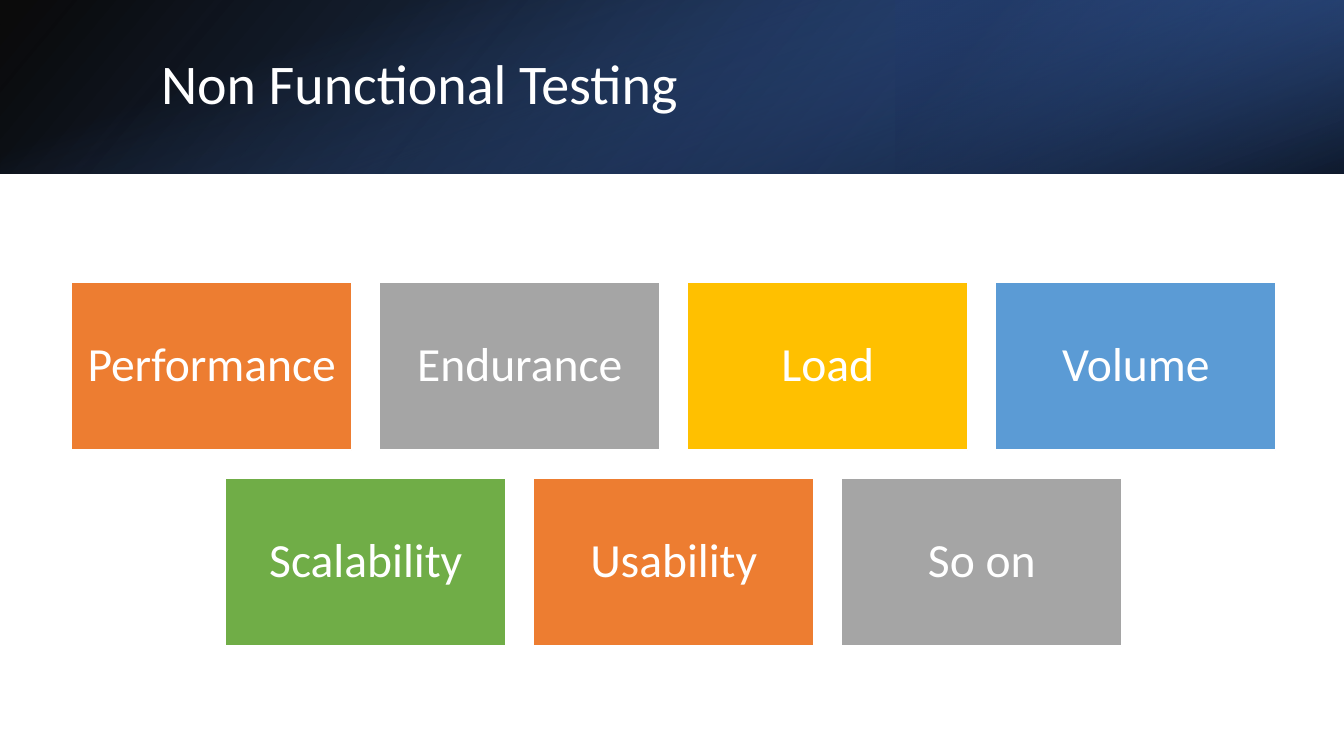
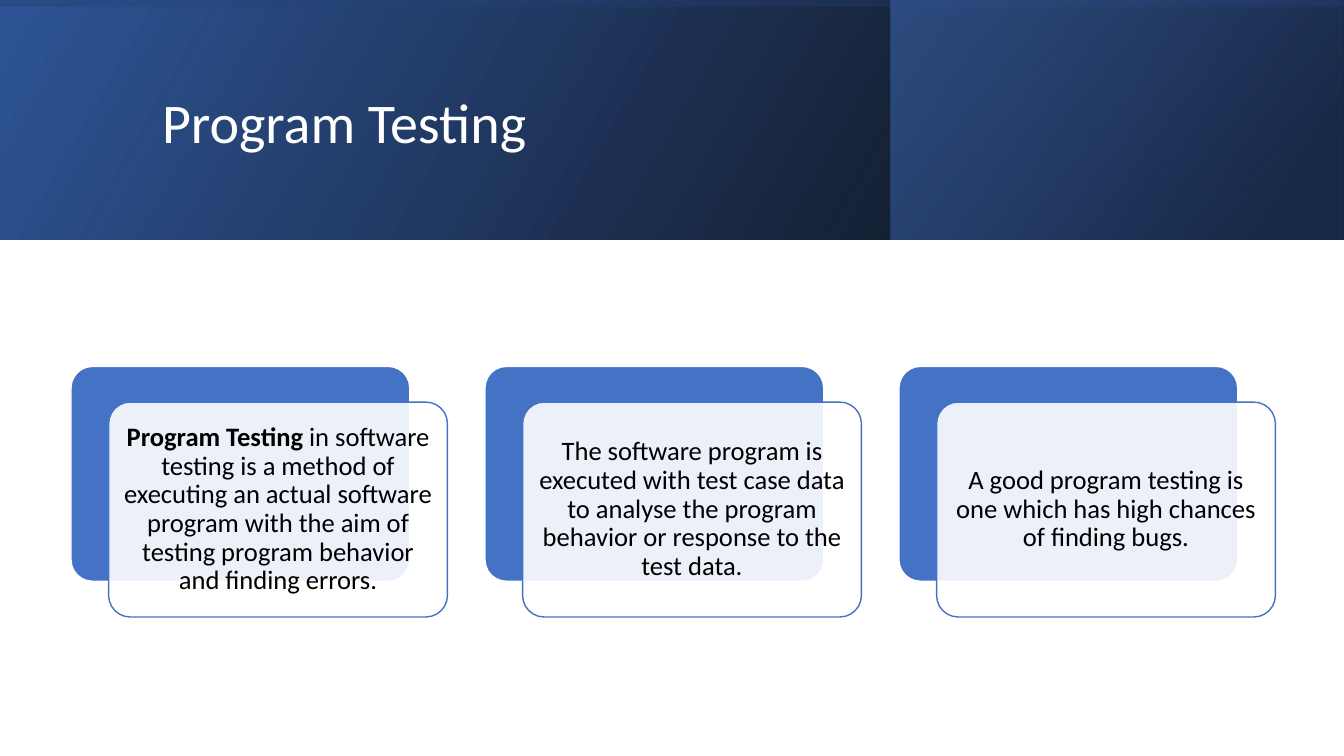
import pptx
import pptx.util
import pptx.dml.color
import pptx.enum.shapes
import pptx.enum.text
import pptx.oxml.ns
from lxml import etree

Pt = pptx.util.Pt
RGB = pptx.dml.color.RGBColor
qn = pptx.oxml.ns.qn
KIND = pptx.enum.shapes.MSO_SHAPE
MIDDLE = pptx.enum.text.MSO_ANCHOR.MIDDLE
CENTER = pptx.enum.text.PP_ALIGN.CENTER

BLACK = RGB(0x00, 0x00, 0x00)
WHITE = RGB(0xFF, 0xFF, 0xFF)
NAVY = RGB(0x20, 0x38, 0x64)
DEEP = RGB(0x2F, 0x55, 0x97)
BLUE = RGB(0x44, 0x72, 0xC4)
ORANGE = RGB(0xED, 0x7D, 0x31)
GRAY = RGB(0xA5, 0xA5, 0xA5)
GOLD = RGB(0xFF, 0xC0, 0x00)
SKY = RGB(0x5B, 0x9B, 0xD5)
GREEN = RGB(0x70, 0xAD, 0x47)
FONT = "Calibri"
WIDE, HIGH = 960, 540


def put(slide, kind, left, top, width, height, fill=None, line=None):
    """Add a shape without shadow; no fill colour leaves the fill open."""
    shape = slide.shapes.add_shape(kind, Pt(left), Pt(top), Pt(width), Pt(height))
    shape.shadow.inherit = False
    if fill is not None:
        shape.fill.solid()
        shape.fill.fore_color.rgb = fill
    if line is None:
        shape.line.fill.background()
    else:
        shape.line.color.rgb = line
        shape.line.width = Pt(1)
    return shape


def write(shape, runs, size, color, inset, align=None):
    """Fill a shape with one paragraph of (text, bold) runs."""
    frame = shape.text_frame
    frame.word_wrap = True
    frame.vertical_anchor = MIDDLE
    frame.margin_left = frame.margin_right = Pt(inset[0])
    frame.margin_top = frame.margin_bottom = Pt(inset[1])
    para = frame.paragraphs[0]
    para.alignment = align
    para.line_spacing = 0.9
    for text, bold in runs:
        run = para.add_run()
        run.text = text
        run.font.name = FONT
        run.font.size = Pt(size)
        run.font.bold = bold
        run.font.color.rgb = color


deck = pptx.Presentation()
deck.slide_width, deck.slide_height = Pt(WIDE), Pt(HIGH)

# Header: title, its box, band height, and layers of
# (left, width, turn, flip, angle, stops of (place, colour, opacity))
heads = [
    ("Non Functional Testing", (108, 27.4, 790, 69), 124.2, [
        (0, WIDE, 0, True, 140, [(0, BLACK, 96), (100, DEEP, 100)]),
        (640, 320, 180, True, 320, [(19, NAVY, 68), (100, BLUE, 79)]),
        (0, WIDE, 90, False, 340, [(23, BLUE, 0), (99, BLACK, 74)]),
    ]),
    ("Program Testing", (108.7, 27.4, 765, 124), 171, [
        (0, WIDE, 0, True, 330, [(0, BLACK, 96), (100, DEEP, 100)]),
        (636.5, 323, 0, True, 320, [(19, NAVY, 68), (100, BLUE, 48)]),
        (0, WIDE, 270, True, 350, [(23, DEEP, 16), (99, BLACK, 45)]),
    ]),
]
slides = []
for title, box, tall, layers in heads:
    slide = deck.slides.add_slide(deck.slide_layouts[6])
    slides.append(slide)
    for left, width, turn, flip, angle, stops in layers:
        w, h = (tall, width) if turn in (90, 270) else (width, tall)
        band = put(slide, KIND.RECTANGLE, left + (width - w) / 2, (tall - h) / 2, w, h)
        band.rotation = turn
        props = band._element.spPr
        if flip:
            props.find(qn("a:xfrm")).set("flipH", "1")
        grad = etree.Element(qn("a:gradFill"), rotWithShape="1")
        props.find(qn("a:prstGeom")).addnext(grad)
        chain = etree.SubElement(grad, qn("a:gsLst"))
        for place, color, alpha in stops:
            stop = etree.SubElement(chain, qn("a:gs"), pos=str(place * 1000))
            tone = etree.SubElement(stop, qn("a:srgbClr"), val=str(color))
            etree.SubElement(tone, qn("a:alpha"), val=str(alpha * 1000))
        etree.SubElement(grad, qn("a:lin"), ang=str(angle * 60000), scaled="0")
    label = slide.shapes.add_textbox(*[Pt(side) for side in box])
    write(label, [(title, False)], 40, WHITE, (7.2, 3.6))

# Tiles: each row is centred on the same middle line
rows = [
    [("Performance", ORANGE), ("Endurance", GRAY), ("Load", GOLD), ("Volume", SKY)],
    [("Scalability", GREEN), ("Usability", ORANGE), ("So on", GRAY)],
]
tile_w, tile_h, gap, middle = 200, 120, 20, 481.3
for i, row in enumerate(rows):
    left = middle - (len(row) * (tile_w + gap) - gap) / 2
    top = 201.5 + i * (tile_h + gap)
    for j, (name, color) in enumerate(row):
        tile = put(slides[0], KIND.RECTANGLE, left + j * (tile_w + gap), top,
                   tile_w, tile_h, color, WHITE)
        write(tile, [(name, False)], 34, WHITE, (10, 10), CENTER)

# Cards: a blue back and a nearly opaque white front, shifted right and down
cards = [
    [("Program Testing", True),
     (" in software testing is a method of executing an actual software program "
      "with the aim of testing program behavior and finding errors.", False)],
    [("The software program is executed with test case data to analyse the "
      "program behavior or response to the test data.", False)],
    [("A good program testing is one which has high chances of finding bugs.", False)],
]
card_w, card_h, step = 242, 153.5, 295.7
for i, runs in enumerate(cards):
    left, top = 50.7 + i * step, 261.7
    back = put(slides[1], KIND.ROUNDED_RECTANGLE, left, top, card_w, card_h, BLUE, WHITE)
    front = put(slides[1], KIND.ROUNDED_RECTANGLE, left + 26.9, top + 25.5,
                card_w, card_h, WHITE, BLUE)
    back.adjustments[0] = front.adjustments[0] = 0.1
    tone = front._element.spPr.find(qn("a:solidFill")).find(qn("a:srgbClr"))
    etree.SubElement(tone, qn("a:alpha"), val="90000")
    write(front, runs, 19, BLACK, (6, 6), CENTER)

deck.save("out.pptx")
